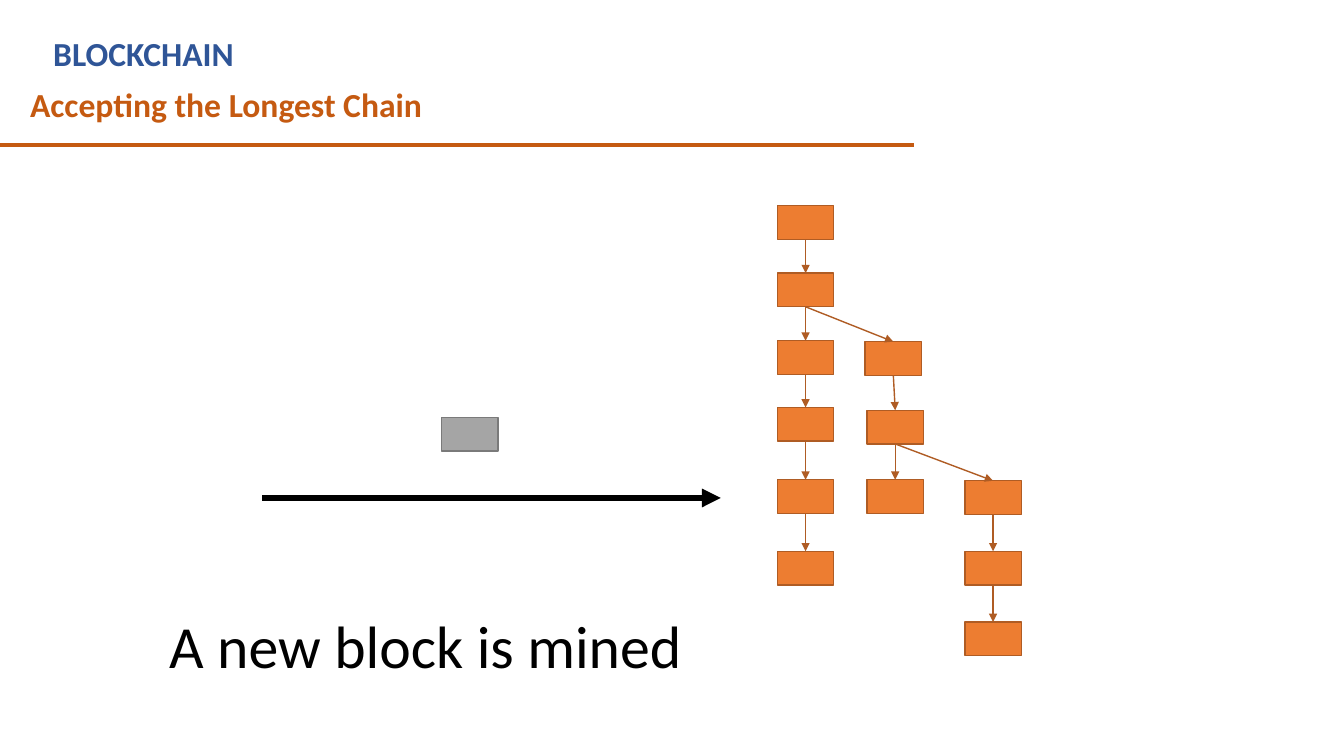
from itertools import pairwise

from lxml import etree
from pptx import Presentation
from pptx.dml.color import RGBColor
from pptx.enum.shapes import MSO_CONNECTOR, MSO_SHAPE
from pptx.enum.text import MSO_AUTO_SIZE
from pptx.oxml.ns import qn
from pptx.util import Inches, Pt

STRAIGHT = MSO_CONNECTOR.STRAIGHT
RECTANGLE = MSO_SHAPE.RECTANGLE
GROW = MSO_AUTO_SIZE.SHAPE_TO_FIT_TEXT
TOP_SITE, BOTTOM_SITE = 0, 2

FONT = "Calibri"
COLORS = {
    "title": "2F5597",
    "accent": "C55A11",
    "block": "ED7D31",
    "block_line": "AF5C24",
    "mined": "A5A5A5",
    "mined_line": "7A7A7A",
    "text": "000000",
}

# All lengths are percentages of the slide's width and height
SLIDE_WIDTH, SLIDE_HEIGHT = Inches(13.33), Inches(7.5)
BLOCK_WIDTH, BLOCK_HEIGHT = 4.2, 4.45

# Chains of the tree: (column, row) offsets of their blocks
MAIN_CHAIN = [(0, row) for row in (0, 8.93, 17.87, 26.7, 36.27, 45.73)]
SIDE_CHAIN = [(6.53, 18), (6.67, 27.07), (6.67, 36.27)]
LONGEST_CHAIN = [(13.95, row) for row in (36.4, 45.73, 55.07)]


def across(share):
    return round(SLIDE_WIDTH * share / 100)


def down(share):
    return round(SLIDE_HEIGHT * share / 100)


def color(name):
    return RGBColor.from_string(COLORS[name])


def add_text(slide, left, top, width, height, text, size, color_name, bold=False):
    box = slide.shapes.add_textbox(across(left), down(top), across(width), down(height))
    text_frame = box.text_frame
    text_frame.word_wrap = True
    text_frame.auto_size = GROW
    text_frame.text = text
    font = text_frame.paragraphs[0].runs[0].font
    font.name, font.size, font.bold = FONT, Pt(size), bold
    font.color.rgb = color(color_name)


def add_block(slide, left, top, fill):
    block = slide.shapes.add_shape(
        RECTANGLE, across(left), down(top), across(BLOCK_WIDTH), down(BLOCK_HEIGHT))
    block.shadow.inherit = False
    block.fill.solid()
    block.fill.fore_color.rgb = color(fill)
    block.line.color.rgb = color(fill + "_line")
    block.line.width = Pt(1)
    return block


def add_line(slide, start, end, color_name, weight, arrow=True):
    line = slide.shapes.add_connector(
        STRAIGHT, across(start[0]), down(start[1]), across(end[0]), down(end[1]))
    line.line.color.rgb = color(color_name)
    line.line.width = Pt(weight)
    if arrow:
        etree.SubElement(line.line._get_or_add_ln(), qn("a:tailEnd"), type="triangle")
    etree.SubElement(line._element.spPr, qn("a:effectLst"))
    return line


def link_blocks(slide, parent, child):
    link = add_line(slide, (0, 0), (0, 0), "block_line", 1)
    link.begin_connect(parent, BOTTOM_SITE)
    link.end_connect(child, TOP_SITE)


def add_header(slide, left, top, width, height):
    add_text(slide, left + 1.5, top + 10.4, 65.63, 6.67,
             "Accepting the Longest Chain", 24, "accent", bold=True)
    rule = top + height
    add_line(slide, (left, rule), (left + width, rule), "accent", 3, arrow=False)
    add_text(slide, left + 3.22, top + 3.73, 61.5, 6.67,
             "BLOCKCHAIN", 24, "title", bold=True)


def add_tree(slide, left, top):
    main, side, longest = [
        [add_block(slide, left + column, top + row, "block") for column, row in chain]
        for chain in (MAIN_CHAIN, SIDE_CHAIN, LONGEST_CHAIN)
    ]
    for chain in (main, side, longest):
        for parent, child in pairwise(chain):
            link_blocks(slide, parent, child)
    # Forks
    link_blocks(slide, main[1], side[0])
    link_blocks(slide, side[1], longest[0])


def add_mining(slide, left, top, width):
    add_block(slide, left + 21, top, "mined")
    arrow_row = top + 10.67
    add_line(slide, (left + 7.65, arrow_row), (left + width, arrow_row), "text", 4.5)
    add_text(slide, left, top + 24.67, 40.95, 10.93,
             "A new block is mined", 42.7, "text")


def main():
    presentation = Presentation()
    presentation.slide_width, presentation.slide_height = SLIDE_WIDTH, SLIDE_HEIGHT
    slide = presentation.slides.add_slide(presentation.slide_layouts[6])
    add_header(slide, 0, 0, 68.03, 19.2)
    add_tree(slide, 57.84, 27.2)
    add_mining(slide, 11.85, 55.2, 41.78)
    presentation.save("out.pptx")


if __name__ == "__main__":
    main()
